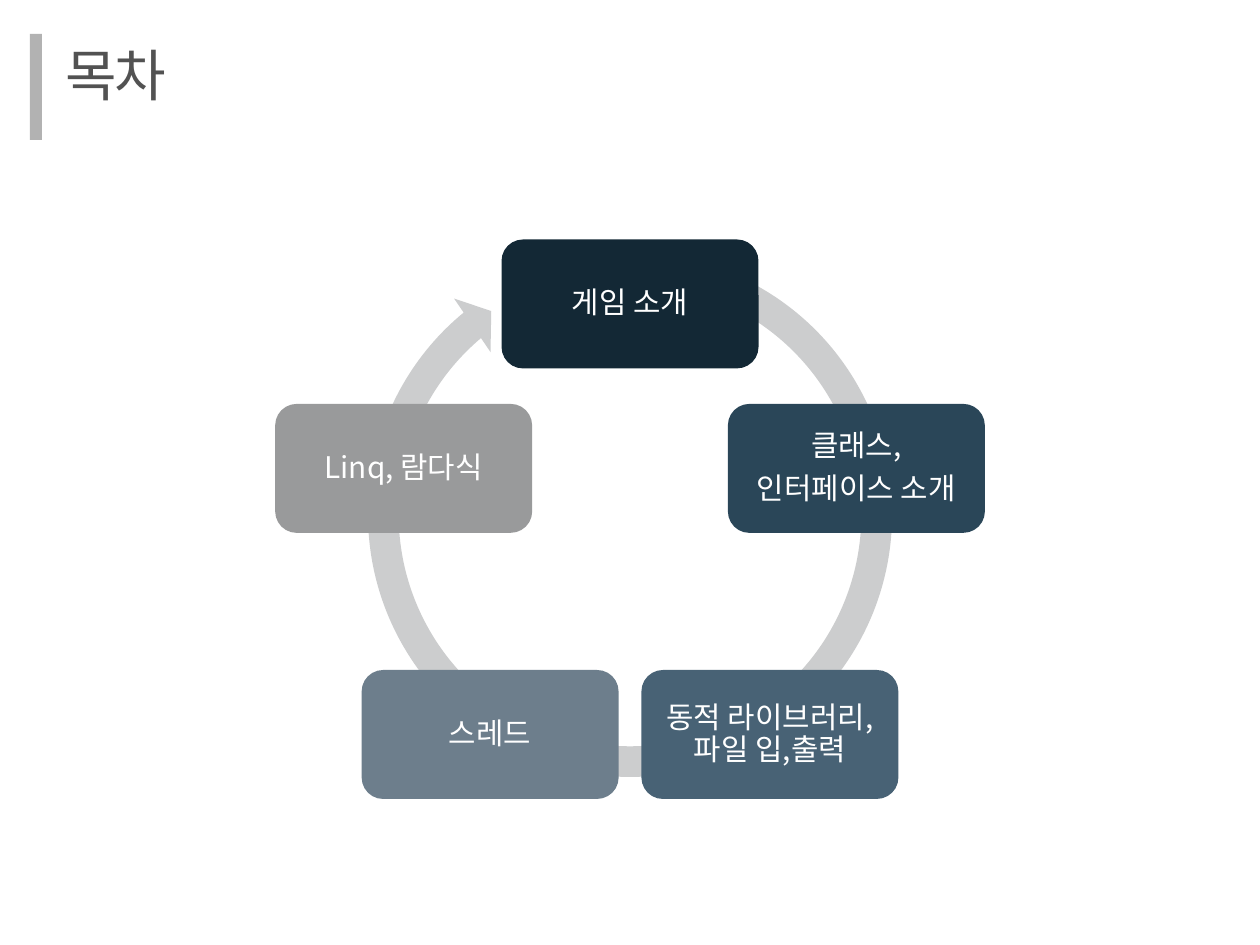
import math

from pptx import Presentation
from pptx import util as u
from pptx.dml.color import RGBColor
from pptx.enum import shapes, text
from pptx.oxml.ns import qn

SCALE = 914400 / 126
FONT = "Noto Sans CJK KR"
WHITE = RGBColor(0xFF, 0xFF, 0xFF)
TITLE_GRAY = RGBColor(0x52, 0x52, 0x52)
BAR_GRAY = RGBColor(0xB2, 0xB2, 0xB2)
RING_GRAY = RGBColor(0xCC, 0xCD, 0xCE)
NAVY = RGBColor(0x13, 0x28, 0x35)
DEEP_BLUE = RGBColor(0x2A, 0x46, 0x58)
STEEL_BLUE = RGBColor(0x48, 0x62, 0x75)
SLATE = RGBColor(0x6D, 0x7E, 0x8C)
NODE_GRAY = RGBColor(0x99, 0x9A, 0x9B)

CENTER_X, CENTER_Y, RADIUS = 630, 542, 238
NODE_WIDTH, NODE_HEIGHT = 257, 129
TOPICS = [
    (["게임 소개"], NAVY),
    (["클래스,", "인터페이스 소개"], DEEP_BLUE),
    (["동적 라이브러리,\n파일 입,출력"], STEEL_BLUE),
    (["스레드"], SLATE),
    (["Linq, 람다식"], NODE_GRAY),
]


def add_filled_shape(kind, left, top, width, height, color):
    box = [u.Emu(round(value * SCALE)) for value in (left, top, width, height)]
    shape = slide.shapes.add_shape(kind, *box)
    shape.shadow.inherit = False
    shape.fill.solid()
    shape.fill.fore_color.rgb = color
    shape.line.fill.background()
    return shape


def format_runs(paragraph, size, color):
    """Set size, colour and both the Latin and East Asian typeface."""
    for run in paragraph.runs:
        run.font.size = u.Pt(size)
        run.font.color.rgb = color
        run.font.name = FONT
        properties = run._r.get_or_add_rPr()
        east_asian = properties.makeelement(qn("a:ea"), {"typeface": FONT})
        properties.find(qn("a:latin")).addnext(east_asian)


presentation = Presentation()
presentation.slide_width = u.Inches(10)
presentation.slide_height = u.Inches(7.5)
slide = presentation.slides.add_slide(presentation.slide_layouts[5])

# Title with its side bar
title = slide.shapes.title
for name, value in {"left": 53, "top": 34, "width": 134, "height": 81}.items():
    setattr(title, name, u.Emu(round(value * SCALE)))
title_format = {
    "word_wrap": False,
    "auto_size": text.MSO_AUTO_SIZE.SHAPE_TO_FIT_TEXT,
    "vertical_anchor": text.MSO_ANCHOR.TOP,
}
for name, value in title_format.items():
    setattr(title.text_frame, name, value)
paragraph = title.text_frame.paragraphs[0]
paragraph.text = "목차"
paragraph.alignment = text.PP_ALIGN.LEFT
format_runs(paragraph, 32, TITLE_GRAY)
paragraph.runs[0]._r.get_or_add_rPr().set("spc", "-150")
add_filled_shape(shapes.MSO_SHAPE.RECTANGLE, 30, 34, 12, 106, BAR_GRAY)

# Ring arrow behind the topics
ring = add_filled_shape(shapes.MSO_SHAPE.CIRCULAR_ARROW, 351, 236, 558, 558, RING_GRAY)
for index, value in enumerate([0.055, 3.307, 138.152, 173.621, 0.058]):
    ring.adjustments[index] = value

# Topics on the corners of a pentagon, clockwise from the top
node_format = {"word_wrap": True, "vertical_anchor": text.MSO_ANCHOR.MIDDLE}
for side in ("left", "top", "right", "bottom"):
    node_format[f"margin_{side}"] = u.Inches(0.07)
paragraph_format = {"alignment": text.PP_ALIGN.CENTER, "line_spacing": 0.9}

for index, (lines, color) in enumerate(TOPICS):
    angle = math.tau * index / len(TOPICS)
    left = CENTER_X + RADIUS * math.sin(angle) - NODE_WIDTH / 2
    top = CENTER_Y - RADIUS * math.cos(angle) - NODE_HEIGHT / 2
    node = add_filled_shape(shapes.MSO_SHAPE.ROUNDED_RECTANGLE, left, top,
                            NODE_WIDTH, NODE_HEIGHT, color)
    frame = node.text_frame
    for name, value in node_format.items():
        setattr(frame, name, value)
    for number, line in enumerate(lines):
        paragraph = frame.add_paragraph() if number else frame.paragraphs[0]
        paragraph.text = line
        for name, value in paragraph_format.items():
            setattr(paragraph, name, value)
        paragraph.space_after = u.Pt(6)
        format_runs(paragraph, 17, WHITE)

presentation.save("out.pptx")
